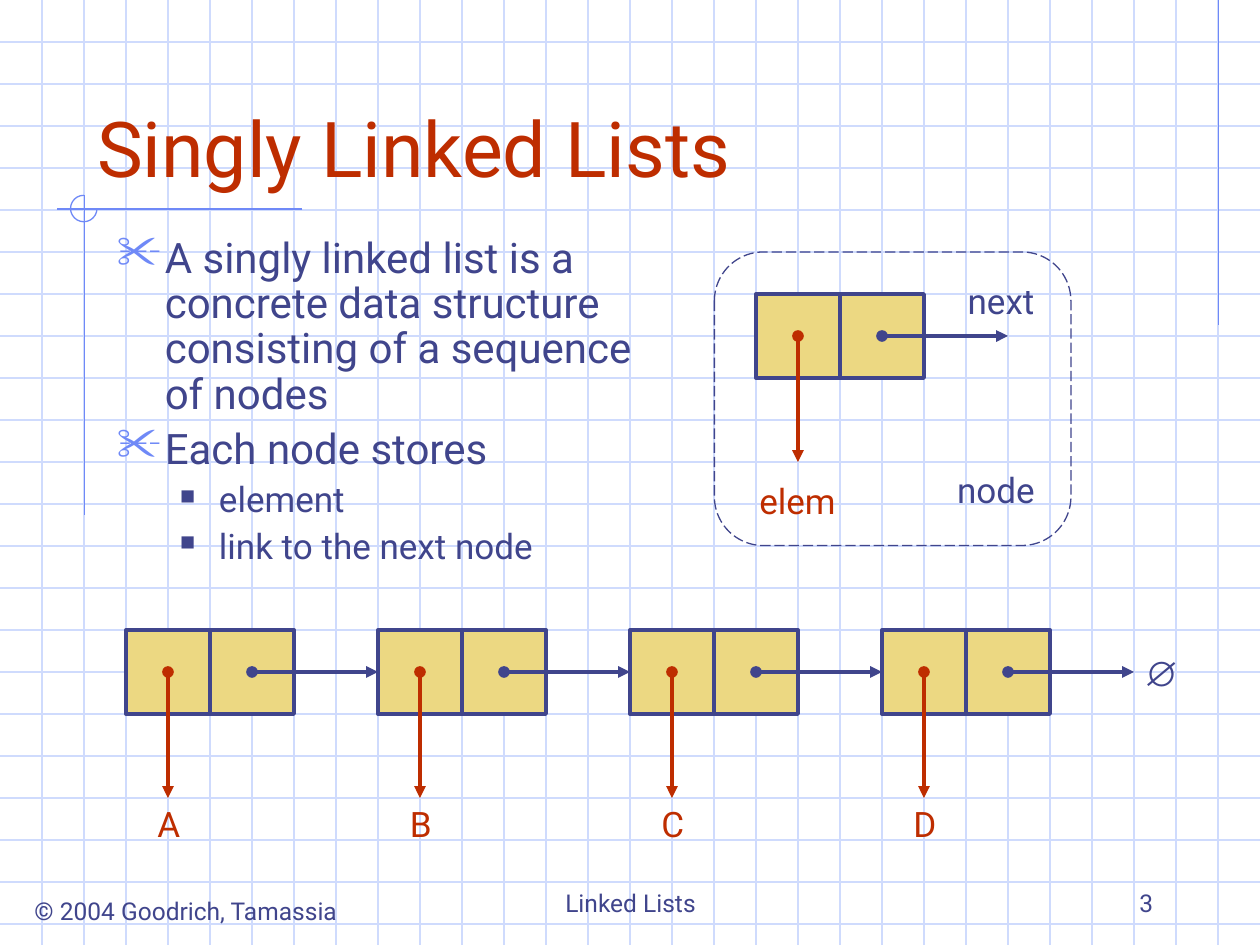
from dataclasses import dataclass

import pptx
import pptx.dml.color
import pptx.enum.dml
import pptx.enum.shapes
import pptx.enum.text
import pptx.oxml
import pptx.oxml.ns
import pptx.util
from pptx.util import Inches

COLORS = {
    "grid": "CFDBFD",
    "accent": "6F89F7",
    "ink": "40458C",
    "red": "BE2D00",
    "cell": "ECD882",
}
FONT = "Roboto"
STEP = 1 / 3  # spacing of the squared paper
CELL = 2 * STEP  # side of one half of a node
SHAPES = pptx.enum.shapes.MSO_SHAPE
ALIGN = pptx.enum.text.PP_ALIGN
ANCHOR = pptx.enum.text.MSO_ANCHOR


@dataclass
class Label:
    text: str
    left: float
    top: float
    width: float
    height: float = 0.44
    size: int = 20
    color: str = "ink"
    align: ALIGN = ALIGN.CENTER
    anchor: ANCHOR = ANCHOR.TOP
    font: str = FONT
    bold: bool = False
    wrap: bool = False


@dataclass
class Level:
    size: int
    margin: float
    hanging: float
    before: int
    bullet: str
    bullet_color: str
    bullet_percent: int


TOPIC = Level(24, 0.38, 0.38, 6, "✂", "accent", 110)
DETAIL = Level(20, 0.81, 0.31, 5, "■", "ink", 60)


def rgb(name: str) -> pptx.dml.color.RGBColor:
    return pptx.dml.color.RGBColor.from_string(COLORS[name])


def style_font(para, size: int, color: str, name: str = FONT, bold: bool = False) -> None:
    para.font.size = pptx.util.Pt(size)
    para.font.name = name
    para.font.bold = bold
    para.font.color.rgb = rgb(color)


def add_xml(parent, tag: str, **attributes: str):
    child = pptx.oxml.ns.qn(tag)
    element = parent.makeelement(child, attributes)
    parent.append(element)
    return element


def add_line(page, x1: float, y1: float, x2: float, y2: float,
             color: str, width: float = 0.75, arrow: bool = False) -> None:
    line = page.shapes.add_connector(
        pptx.enum.shapes.MSO_CONNECTOR.STRAIGHT,
        Inches(x1), Inches(y1), Inches(x2), Inches(y2))
    line.line.color.rgb = rgb(color)
    line.line.width = pptx.util.Pt(width)
    if arrow:
        outline = line.line._get_or_add_ln()
        add_xml(outline, "a:headEnd", type="oval")
        add_xml(outline, "a:tailEnd", type="triangle")
    add_xml(line.element.spPr, "a:effectLst")


def add_outline(page, kind, left: float, top: float, width: float, height: float,
                line: str, weight: float = 0.75, fill: str = ""):
    shape = page.shapes.add_shape(
        kind, Inches(left), Inches(top), Inches(width), Inches(height))
    shape.shadow.inherit = False
    if fill:
        shape.fill.solid()
        shape.fill.fore_color.rgb = rgb(fill)
    else:
        shape.fill.background()
    shape.line.color.rgb = rgb(line)
    shape.line.width = pptx.util.Pt(weight)
    return shape


def add_label(page, label: Label) -> None:
    box = page.shapes.add_textbox(
        Inches(label.left), Inches(label.top), Inches(label.width), Inches(label.height))
    frame = box.text_frame
    frame.word_wrap = label.wrap
    frame.vertical_anchor = label.anchor
    para = frame.paragraphs[0]
    para.text = label.text
    para.alignment = label.align
    style_font(para, label.size, label.color, label.font, label.bold)


def add_item(para, text: str, level: Level, first: bool) -> None:
    para.text = text
    properties = para._p.get_or_add_pPr()
    properties.set("marL", str(Inches(level.margin)))
    properties.set("indent", str(-Inches(level.hanging)))
    color = add_xml(properties, "a:buClr")
    add_xml(color, "a:srgbClr", val=COLORS[level.bullet_color])
    add_xml(properties, "a:buSzPct", val=str(level.bullet_percent * 1000))
    add_xml(properties, "a:buChar", char=level.bullet)
    para.line_spacing = 0.9
    if not first:
        para.space_before = pptx.util.Pt(level.before)
    style_font(para, level.size, "ink")


def add_node(page, left: float, top: float) -> None:
    for column in range(2):
        add_outline(page, SHAPES.RECTANGLE, left + column * CELL, top, CELL, CELL,
                    "ink", 2.25, "cell")
    middle = top + CELL / 2
    element, link = left + CELL / 2, left + CELL * 1.5
    add_line(page, element, middle, element, middle + 1, "red", 2.25, arrow=True)
    add_line(page, link, middle, link + 1, middle, "ink", 2.25, arrow=True)


def add_backdrop(page) -> None:
    # Squared paper
    for row in range(1, 23):
        add_line(page, 0, row * STEP, 10, row * STEP, "grid")
    for column in range(1, 30):
        add_line(page, column * STEP, 0, column * STEP, 7.5, "grid")
    # Accent lines and three-quarter circle
    add_line(page, 9.67, 0, 9.67, 2.58, "accent")
    add_line(page, 2.4, 1.66, 0.45, 1.66, "accent")
    add_line(page, 0.67, 1.55, 0.67, 4.09, "accent")
    arc = add_outline(page, SHAPES.ARC, 0.56, 1.55, 0.21, 0.21, "accent")
    arc.adjustments[0] = 0
    arc.adjustments[1] = 162  # 270 degrees


def add_title(page) -> None:
    title = page.shapes.title
    title.left, title.top = Inches(0.67), Inches(0.33)
    title.width, title.height = Inches(8.5), Inches(1.25)
    title.element.getparent().append(title.element)  # in front of the grid
    frame = title.text_frame
    frame.vertical_anchor = ANCHOR.BOTTOM
    para = frame.paragraphs[0]
    para.text = "Singly Linked Lists"
    para.alignment = ALIGN.LEFT
    style_font(para, 44, "red")


def add_body(page) -> None:
    items = [
        ("A singly linked list is a concrete data structure consisting of a sequence of nodes",
         TOPIC),
        ("Each node stores", TOPIC),
        ("element", DETAIL),
        ("link to the next node", DETAIL),
    ]
    box = page.shapes.add_textbox(Inches(0.83), Inches(1.83), Inches(4.5), Inches(2.75))
    frame = box.text_frame
    frame.word_wrap = True
    for index, (text, level) in enumerate(items):
        para = frame.add_paragraph() if index else frame.paragraphs[0]
        add_item(para, text, level, first=index == 0)


def main() -> None:
    deck = pptx.Presentation()
    deck.slide_width, deck.slide_height = Inches(10), Inches(7.5)
    page = deck.slides.add_slide(deck.slide_layouts[5])

    add_backdrop(page)
    add_title(page)
    add_body(page)

    # Footer
    add_label(page, Label("© 2004 Goodrich, Tamassia", 0.12, 7.06, 2.71, 0.34, 14))
    add_label(page, Label("Linked Lists", 3.42, 6.83, 3.17, 0.5, 14,
                          anchor=ANCHOR.BOTTOM, wrap=True))
    add_label(page, Label("3", 7.17, 6.83, 2.08, 0.5, 14, align=ALIGN.RIGHT,
                          anchor=ANCHOR.BOTTOM, wrap=True))

    # Anatomy of one node
    frame = add_outline(page, SHAPES.ROUNDED_RECTANGLE, 5.67, 2, 2.83, 2.33, "ink")
    frame.line.dash_style = pptx.enum.dml.MSO_LINE.LONG_DASH
    add_node(page, 6, 7 * STEP)
    add_label(page, Label("next", 7.56, 2.17, 0.77))
    add_label(page, Label("elem", 5.91, 3.76, 0.84, color="red"))
    add_label(page, Label("node", 7.47, 3.67, 0.87))

    # Chain of four nodes
    for index, letter in enumerate("ABCD"):
        left = 1 + 2 * index
        add_node(page, left, 5)
        add_label(page, Label(letter, left + 0.14, 6.32, 0.4, color="red"))
    add_label(page, Label("∅", 8.98, 5.12, 0.42, font="Arial", bold=True))

    deck.save("out.pptx")


if __name__ == "__main__":
    main()
